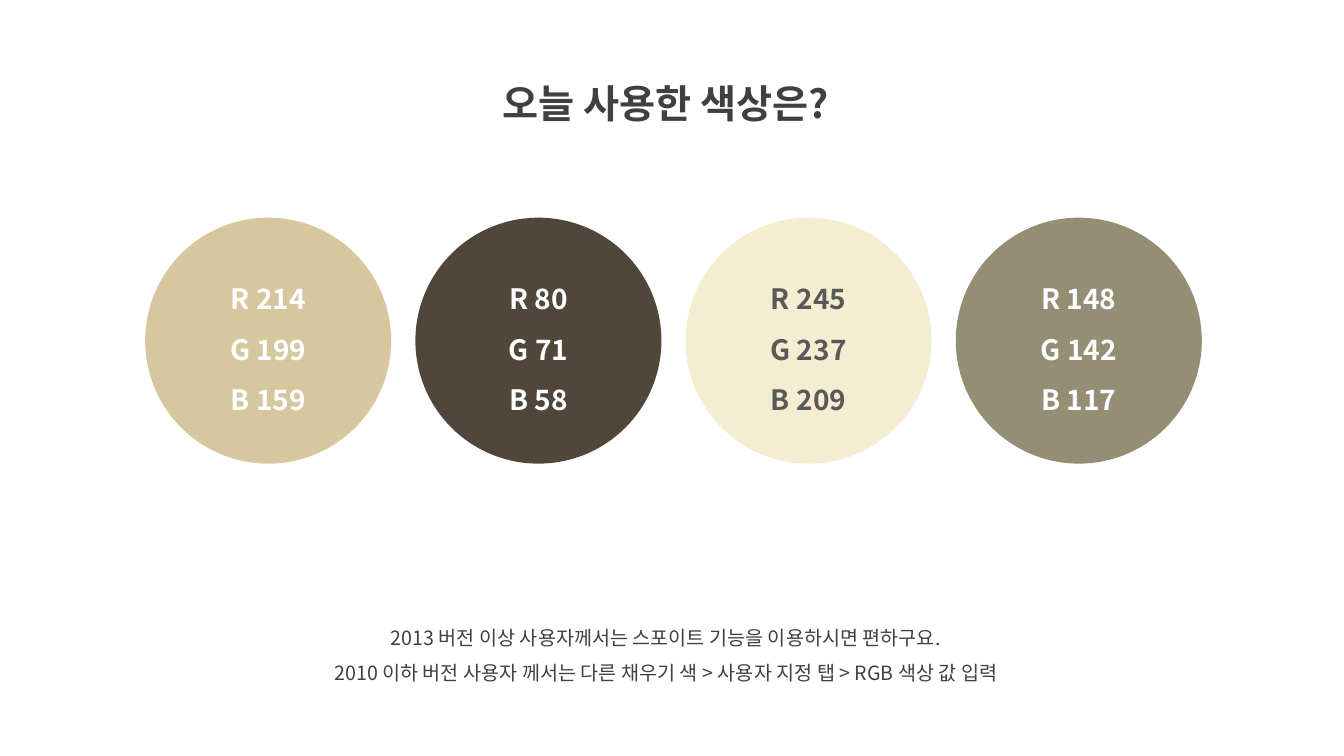
from dataclasses import dataclass

import pptx
import pptx.dml.color
import pptx.enum.shapes
import pptx.enum.text
import pptx.oxml.ns
import pptx.oxml.xmlchemy
import pptx.util
from lxml import etree

Inches = pptx.util.Inches
RGBColor = pptx.dml.color.RGBColor
MSO_ANCHOR = pptx.enum.text.MSO_ANCHOR


@dataclass(frozen=True)
class Theme:
    font: str = "Noto Sans CJK KR"
    text: RGBColor = RGBColor(64, 64, 64)
    on_dark: RGBColor = RGBColor(255, 255, 255)
    on_light: RGBColor = RGBColor(89, 89, 89)
    title_size: int = 28
    swatch_size: int = 20
    note_size: int = 14
    line_spacing: float = 1.5


THEME = Theme()

TITLE = "오늘 사용한 색상은?"
NOTES = [
    "2013 버전 이상 사용자께서는 스포이트 기능을 이용하시면 편하구요.",
    "2010 이하 버전 사용자 께서는 다른 채우기 색 > 사용자 지정 탭 > RGB 색상 값 입력",
]
SWATCHES = [
    ((214, 199, 159), THEME.on_dark),
    ((80, 71, 58), THEME.on_dark),
    ((245, 237, 209), THEME.on_light),
    ((148, 142, 117), THEME.on_dark),
]
SWATCH_LEFT, SWATCH_TOP = 1.44, 2.16
SWATCH_DIAMETER, SWATCH_PITCH = 2.44, 2.68


def set_font(font, size, color, bold):
    """Set the same typeface for Latin and Korean letters."""
    font.size = pptx.util.Pt(size)
    font.bold = bold
    font.color.rgb = color
    font.name = THEME.font
    latin = font._element.find(pptx.oxml.ns.qn("a:latin"))
    east_asian = etree.Element(pptx.oxml.ns.qn("a:ea"), typeface=THEME.font)
    latin.addnext(east_asian)


def write_lines(shape, lines, size, color, bold, anchor):
    text_frame = shape.text_frame
    text_frame.text = "\n".join(lines)
    text_frame.word_wrap = True
    text_frame.vertical_anchor = anchor
    for paragraph in text_frame.paragraphs:
        paragraph.alignment = pptx.enum.text.PP_ALIGN.CENTER
        paragraph.line_spacing = THEME.line_spacing
        set_font(paragraph.font, size, color, bold)


def add_title(slide):
    title = slide.shapes.title
    title.left, title.top = Inches(4.29), Inches(0.5)
    title.width, title.height = Inches(4.63), Inches(0.72)
    write_lines(title, [TITLE], THEME.title_size, THEME.text, True, MSO_ANCHOR.TOP)
    title.text_frame.auto_size = pptx.enum.text.MSO_AUTO_SIZE.SHAPE_TO_FIT_TEXT


def add_notes(slide):
    box = slide.shapes.add_textbox(Inches(2.61), Inches(6.04), Inches(7.99), Inches(0.81))
    write_lines(box, NOTES, THEME.note_size, THEME.text, False, MSO_ANCHOR.TOP)
    box.text_frame.auto_size = pptx.enum.text.MSO_AUTO_SIZE.SHAPE_TO_FIT_TEXT


def add_swatch(slide, left, channels, text_color):
    """Add a circle filled with a colour and labelled with its RGB values."""
    circle = slide.shapes.add_shape(
        pptx.enum.shapes.MSO_SHAPE.OVAL,
        Inches(left), Inches(SWATCH_TOP),
        Inches(SWATCH_DIAMETER), Inches(SWATCH_DIAMETER),
    )
    circle.shadow.inherit = False
    circle.fill.solid()
    circle.fill.fore_color.rgb = RGBColor(*channels)
    circle.line.fill.background()
    lines = [f"{name} {value}" for name, value in zip("RGB", channels)]
    write_lines(circle, lines, THEME.swatch_size, text_color, True, MSO_ANCHOR.MIDDLE)


def main():
    presentation = pptx.Presentation()
    presentation.slide_width = Inches(13.33)
    presentation.slide_height = Inches(7.5)
    title_only = presentation.slide_layouts.get_by_name("Title Only")
    slide = presentation.slides.add_slide(title_only)

    add_title(slide)
    add_notes(slide)
    for index, (channels, text_color) in enumerate(SWATCHES):
        add_swatch(slide, SWATCH_LEFT + index * SWATCH_PITCH, channels, text_color)

    presentation.save("out.pptx")


if __name__ == "__main__":
    main()
